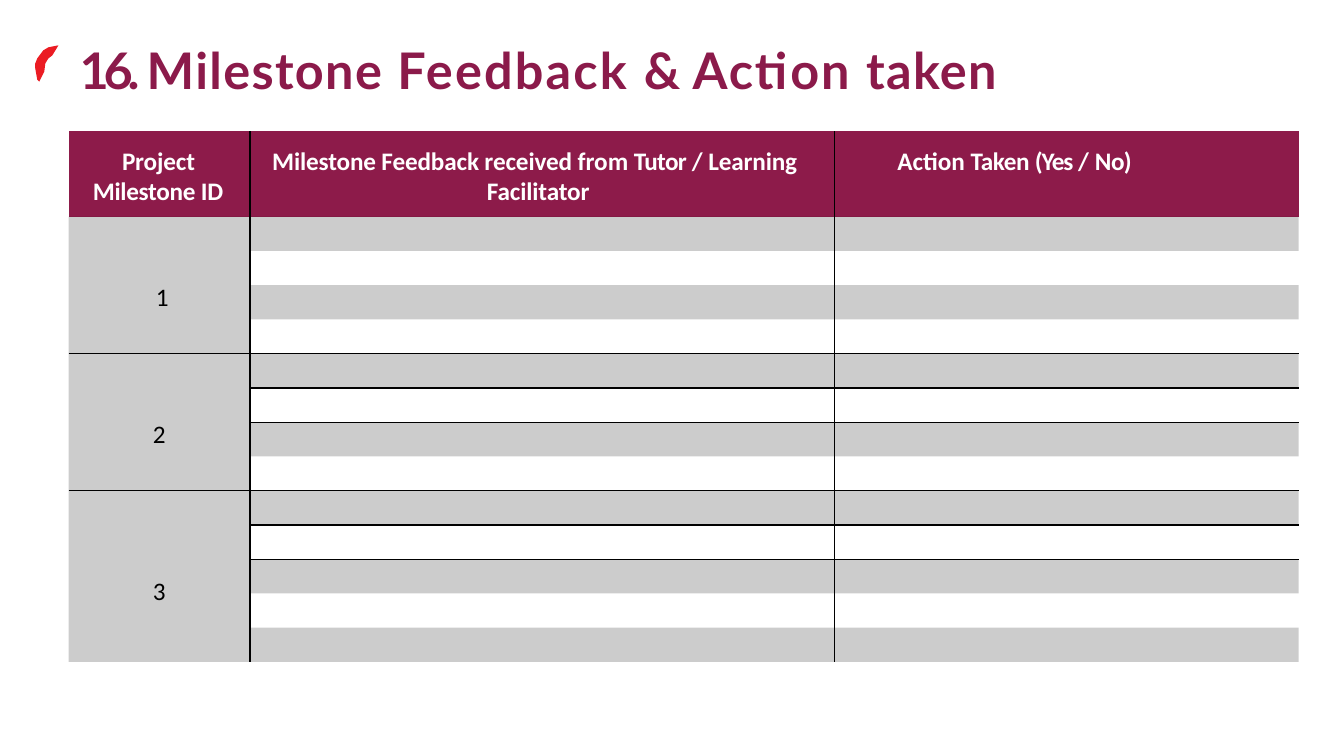
from pptx import Presentation
from pptx.dml.color import RGBColor
from pptx.enum.text import MSO_ANCHOR, PP_ALIGN
from pptx.oxml.ns import qn
from pptx.util import Inches, Pt
from lxml.etree import SubElement

MAROON, HEADER, RED, WHITE, BLACK = "8B1A4A", "8D1B4A", "EB1C23", "FFFFFF", "000000"
NO_STYLE = "{2D5ABB26-0587-4C30-8999-92F81FD0307C}"
COLUMNS = [1.8, 5.8, 4.6]
HEADER_HEIGHT, ROW_HEIGHT = 0.85, 0.34
# Milestone ID, number of rows, space above the ID
MILESTONES = [("1", 4, 0.65), ("2", 4, 0.65), ("3", 5, 0.85)]
RULED_ROWS = (4, 8)

# Runs are (text, letter spacing in points)
TITLE = [("16. ", -3.7), ("Milestone ", 1), ("Feedback ", 1.6), ("& ", 0),
         ("Action ", 1.4), ("taken", 1)]
# Left margin, first-line indent, runs
HEADERS = [
    (0.24, 0.29, [("Project ", -0.1), ("Milestone ID", -0.2)]),
    (2.35, -2.13, [("Milestone Feedback received ", -0.1), ("from ", 0),
                   ("Tutor ", -0.5), ("/ ", 0), ("Learning Facilitator", -0.1)]),
    (0.62, 0, [("Action ", 0), ("Taken ", -0.3), ("(Yes ", -0.7), ("/ ", 0),
               ("No)", -0.2)]),
]
SWOOSH = [(0.58, 0.45), (0.48, 0.47), (0.43, 0.5), (0.37, 0.58), (0.35, 0.63),
          (0.35, 0.68), (0.37, 0.79), (0.39, 0.81), (0.44, 0.71), (0.45, 0.63),
          (0.48, 0.58), (0.52, 0.55)]


def rgb(color):
    return RGBColor.from_string(color)


def set_margins(target, top=0):
    target.margin_left = target.margin_right = target.margin_bottom = 0
    target.margin_top = Inches(top)


def add_runs(p, runs, font, size, color, bold=True, margin=0, indent=0):
    p_pr = p._p.get_or_add_pPr()
    p_pr.set("marL", str(Inches(margin)))
    p_pr.set("indent", str(Inches(indent)))
    for text, spacing in runs:
        r = p.add_run()
        r.text = text
        r.font.name, r.font.size, r.font.bold = font, Pt(size), bold
        r.font.color.rgb = rgb(color)
        r._r.get_or_add_rPr().set("spc", str(round(spacing * 100)))


def add_borders(cell, sides):
    """Draw black lines on the given sides, a subset of LRTB."""
    tc_pr = cell._tc.get_or_add_tcPr()
    for side in "LRTB":
        if side in sides:
            ln = SubElement(tc_pr, qn(f"a:ln{side}"), w=str(Pt(1)))
            fill = SubElement(ln, qn("a:solidFill"))
            SubElement(fill, qn("a:srgbClr"), val=BLACK)


def fill_cell(cell, color, opacity=100):
    cell.fill.solid()
    cell.fill.fore_color.rgb = rgb(color)
    if opacity < 100:
        clr = cell._tc.tcPr.find(f"{qn('a:solidFill')}/{qn('a:srgbClr')}")
        SubElement(clr, qn("a:alpha"), val=str(opacity * 1000))


def add_swoosh(s):
    points = [(Inches(x), Inches(y)) for x, y in SWOOSH]
    builder = s.shapes.build_freeform(*points[0])
    builder.add_line_segments(points[1:], close=True)
    sp = builder.convert_to_shape()
    sp.shadow.inherit = False
    sp.fill.solid()
    sp.fill.fore_color.rgb = rgb(RED)
    sp.line.fill.background()


def add_title(s):
    sp = s.shapes.add_textbox(Inches(0.65), Inches(0.3), Inches(11.4), Inches(0.76))
    tf = sp.text_frame
    tf.word_wrap = True
    set_margins(tf, top=0.09)
    add_runs(tf.paragraphs[0], TITLE, "Lato", 36, MAROON, margin=0.14)


def style_cell(cell, row, col):
    """Set margins, rules and the banded fill of one cell."""
    set_margins(cell)
    sides = ("R" if col < 2 else "") + ("L" if col else "")
    if row in RULED_ROWS:
        sides += "B"
    if row - 1 in RULED_ROWS:
        sides += "T" if col == 0 else "TB"
    if col and row - 2 in RULED_ROWS:
        sides += "T"
    add_borders(cell, sides)
    if row == 0:
        fill_cell(cell, HEADER)
    elif col == 0 or (row - 1) % 4 % 2 == 0:
        fill_cell(cell, BLACK, 20)
    else:
        cell.fill.background()


def add_feedback_table(s):
    heights = [HEADER_HEIGHT] + [ROW_HEIGHT] * sum(n for _, n, _ in MILESTONES)
    table = s.shapes.add_table(
        len(heights), len(COLUMNS), Inches(0.68), Inches(1.3),
        Inches(sum(COLUMNS)), Inches(sum(heights))).table
    table._tbl.tblPr.find(qn("a:tableStyleId")).text = NO_STYLE
    for column, width in zip(table.columns, COLUMNS):
        column.width = Inches(width)
    for i, height in enumerate(heights):
        table.rows[i].height = Inches(height)
        for j in range(len(COLUMNS)):
            style_cell(table.cell(i, j), i, j)

    for j, (margin, indent, runs) in enumerate(HEADERS):
        cell = table.cell(0, j)
        set_margins(cell, top=0.15)
        add_runs(cell.text_frame.paragraphs[0], runs, "Calibri", 18, WHITE,
                 margin=margin, indent=indent)

    row = 1
    for milestone, count, top in MILESTONES:
        cell = table.cell(row, 0)
        cell.merge(table.cell(row + count - 1, 0))
        cell.vertical_anchor = MSO_ANCHOR.TOP
        set_margins(cell, top=top)
        p = cell.text_frame.paragraphs[0]
        p.alignment = PP_ALIGN.CENTER
        add_runs(p, [(milestone, 0)], "Calibri", 18, BLACK, bold=False,
                 margin=0.06 if row == 1 else 0)
        row += count


def main():
    prs = Presentation()
    prs.slide_width, prs.slide_height = Inches(13.33), Inches(7.5)
    s = prs.slides.add_slide(prs.slide_layouts[6])
    add_swoosh(s)
    add_title(s)
    add_feedback_table(s)
    prs.save("out.pptx")


if __name__ == "__main__":
    main()
